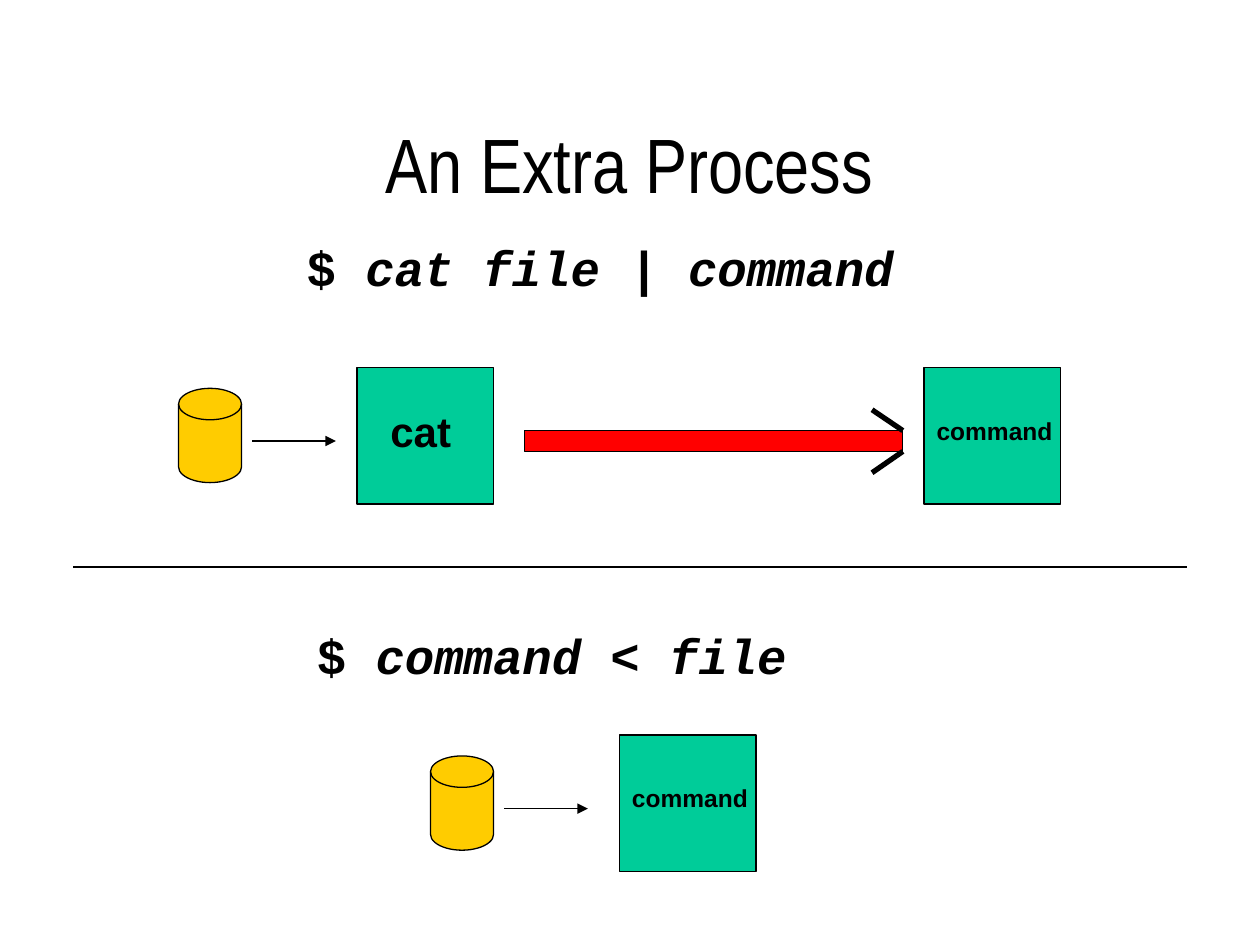
from lxml import etree
from pptx import Presentation
from pptx.dml.color import RGBColor
from pptx.enum import shapes, text
from pptx.oxml.ns import qn
from pptx.util import Cm, Pt

BLACK = RGBColor(0x00, 0x00, 0x00)
GREEN = RGBColor(0x00, 0xCC, 0x99)
YELLOW = RGBColor(0xFF, 0xCC, 0x00)
RED = RGBColor(0xFF, 0x00, 0x00)

RECTANGLE = shapes.MSO_SHAPE.RECTANGLE
DISK = shapes.MSO_SHAPE.FLOWCHART_MAGNETIC_DISK
PROCESS_SIZE = 2.75


def format_span(span, **values):
    span.font.color.rgb = BLACK
    for name, value in values.items():
        setattr(span.font, name, value)


def add_title(page, words):
    title = page.shapes.title
    place = {"left": Cm(1.9), "top": Cm(1.69), "width": Cm(21.59), "height": Cm(3.18)}
    for name, value in place.items():
        setattr(title, name, value)
    frame = title.text_frame
    frame.auto_size = text.MSO_AUTO_SIZE.NONE
    frame.vertical_anchor = text.MSO_ANCHOR.MIDDLE
    para = frame.paragraphs[0]
    para.alignment = text.PP_ALIGN.CENTER
    span = para.add_run()
    span.text = words
    format_span(span, name="Arial Narrow", size=Pt(44))


def add_text(page, left, top, width, height, spans, font, size):
    """Add bold text; spans is a list of (words, italic) pairs."""
    box = page.shapes.add_textbox(Cm(left), Cm(top), Cm(width), Cm(height))
    frame = box.text_frame
    frame.word_wrap = True
    frame.auto_size = text.MSO_AUTO_SIZE.SHAPE_TO_FIT_TEXT
    for words, italic in spans:
        span = frame.paragraphs[0].add_run()
        span.text = words
        format_span(span, name=font, size=Pt(size), bold=True, italic=italic)


def add_block(page, kind, left, top, width, height, color):
    block = page.shapes.add_shape(kind, Cm(left), Cm(top), Cm(width), Cm(height))
    block.shadow.inherit = False
    block.fill.solid()
    block.fill.fore_color.rgb = color
    block.line.color.rgb = BLACK
    block.line.width = Pt(0.75)


def add_line(page, start, end, width=0.75, arrow=False):
    line = page.shapes.add_connector(
        shapes.MSO_CONNECTOR.STRAIGHT, *map(Cm, start + end))
    line.line.color.rgb = BLACK
    line.line.width = Pt(width)
    if arrow:
        etree.SubElement(line.line._get_or_add_ln(), qn("a:tailEnd"), type="triangle")
    etree.SubElement(line._element.spPr, qn("a:effectLst"))


def add_file(page, left, top):
    """Add a file on disk with the arrow that leads out of it."""
    add_block(page, DISK, left, top, 1.27, 1.9, YELLOW)
    level = top + 1.06
    add_line(page, (left + 1.48, level), (left + 3.17, level), arrow=True)


def add_process(page, left, top):
    add_block(page, RECTANGLE, left, top, PROCESS_SIZE, PROCESS_SIZE, GREEN)


def add_command(page, left, top):
    add_process(page, left, top)
    add_text(page, left, top + 0.85, 2.97, 0.86, [("command", False)], "Arial", 14)


def add_prompt(page, left, top, words):
    add_text(page, left, top, 13.97, 1.45, [("$ ", False), (words, True)],
             "Courier New", 28)


def add_pipe(page):
    add_block(page, RECTANGLE, 10.58, 8.68, 7.62, 0.43, RED)
    add_line(page, (17.58, 8.26), (18.2, 8.68), width=3)
    add_line(page, (18.2, 9.1), (17.58, 9.53), width=3)


def main():
    deck = Presentation()
    deck.slide_width, deck.slide_height = Cm(25.4), Cm(19.05)
    page = deck.slides.add_slide(deck.slide_layouts.get_by_name("Title Only"))
    add_title(page, "An Extra Process")

    # Two processes joined by a pipe
    add_prompt(page, 5.93, 4.66, "cat file | command")
    add_file(page, 3.6, 7.83)
    add_process(page, 7.2, 7.41)
    add_text(page, 7.62, 8.05, 1.9, 1.27, [("cat", False)], "Arial", 24)
    add_pipe(page)
    add_command(page, 18.63, 7.41)

    # Divider
    add_line(page, (1.48, 11.43), (23.92, 11.43))

    # One process with redirected input
    add_prompt(page, 6.14, 12.49, "command < file")
    add_file(page, 8.68, 15.24)
    add_command(page, 12.49, 14.82)

    deck.save("out.pptx")


if __name__ == "__main__":
    main()
